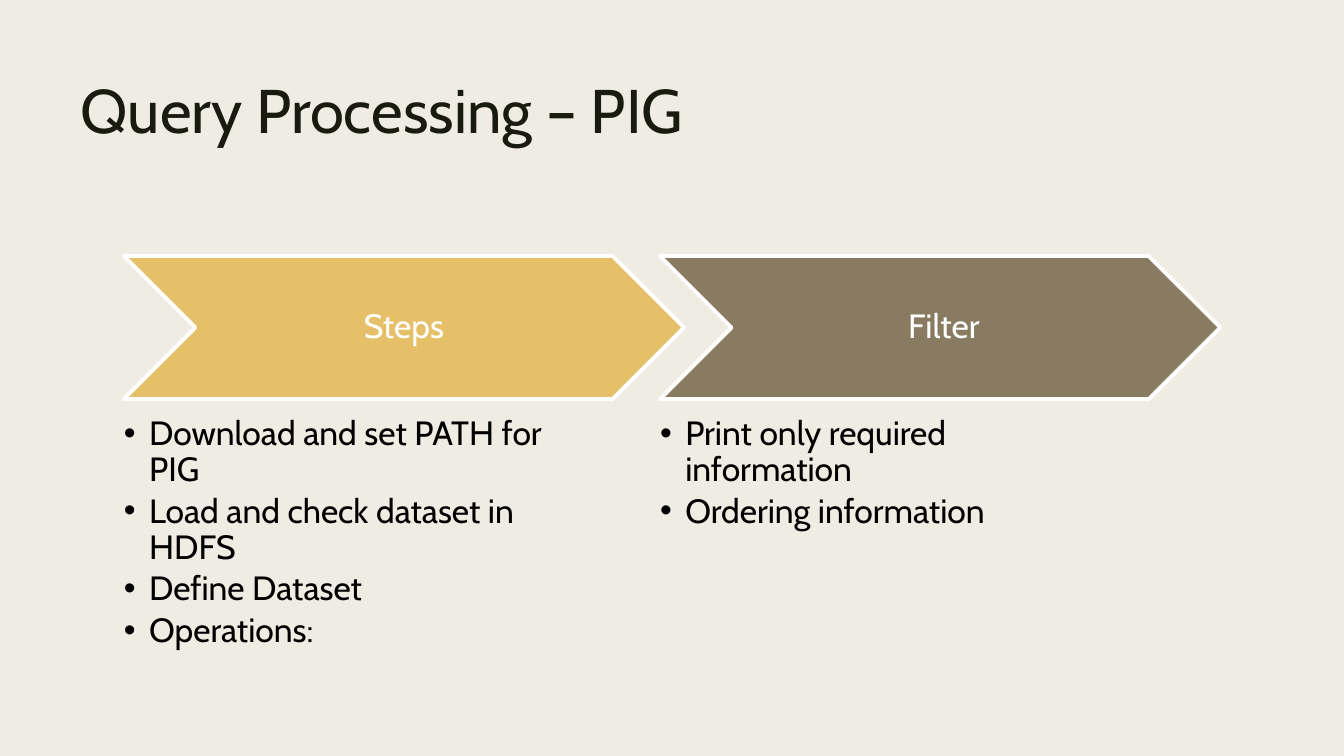
from lxml.etree import SubElement
from pptx import Presentation
from pptx.dml.color import RGBColor
from pptx.enum.shapes import MSO_SHAPE as Shape
from pptx.enum.text import MSO_ANCHOR as Anchor, MSO_AUTO_SIZE as AutoSize, PP_ALIGN as Align
from pptx.oxml.ns import qn
from pptx.util import Pt

CREAM = RGBColor(0xEF, 0xED, 0xE3)
INK = RGBColor(0x19, 0x1B, 0x0E)
GOLD = RGBColor(0xE6, 0xC0, 0x69)
BROWN = RGBColor(0x89, 0x7B, 0x61)
WHITE = RGBColor(0xFF, 0xFF, 0xFF)
BLACK = RGBColor(0, 0, 0)

STAGES = [
    ("Steps ", GOLD, [
        "Download and set PATH for PIG",
        "Load and check dataset in HDFS",
        "Define Dataset",
        "Operations:",
    ]),
    ("Filter", BROWN, ["Print only required information", "Ordering information"]),
]
FIRST_LEFT = 88.5
STAGE_STEP = 383


def add_filled(kind, left, top, width, height, color):
    box = page.shapes.add_shape(kind, Pt(left), Pt(top), Pt(width), Pt(height))
    box.shadow.inherit = False
    box.fill.solid()
    box.fill.fore_color.rgb = color
    return box


def add_span(para, text, size, color, spacing):
    para.line_spacing = spacing
    span = para.add_run()
    span.text = text
    span.font.name = "Cabin"
    span.font.size = Pt(size)
    span.font.color.rgb = color


deck = Presentation()
deck.slide_width = Pt(960)
deck.slide_height = Pt(540)
page = deck.slides.add_slide(deck.slide_layouts.get_by_name("Two Content"))
page.background.fill.solid()
page.background.fill.fore_color.rgb = CREAM

backdrop = add_filled(Shape.RECTANGLE, 0, 0, 960, 540, CREAM)
backdrop.line.fill.background()
page.shapes.title._element.addprevious(backdrop._element)

title = page.shapes.title
title.left, title.top, title.width, title.height = Pt(50.5), Pt(54), Pt(859), Pt(116.6)
title.text_frame.auto_size = AutoSize.NONE
title.text_frame.vertical_anchor = Anchor.TOP
title_para = title.text_frame.paragraphs[0]
title_para.alignment = Align.LEFT
add_span(title_para, "Query Processing – PIG", 44, INK, 0.89)

for index, (name, color, items) in enumerate(STAGES):
    left = FIRST_LEFT + index * STAGE_STEP

    chevron = add_filled(Shape.CHEVRON, left, 182.9, 400.2, 102.2, color)
    chevron.line.color.rgb = WHITE
    chevron.line.width = Pt(2.75)
    SubElement(chevron.line._get_or_add_ln(), qn("a:round"))
    frame = chevron.text_frame
    frame.word_wrap = True
    frame.vertical_anchor = Anchor.MIDDLE
    frame.margin_left = Pt(8)
    frame.margin_top = frame.margin_right = frame.margin_bottom = Pt(2.7)
    para = frame.paragraphs[0]
    para.alignment = Align.CENTER
    add_span(para, name, 24, WHITE, 0.9)

    body = page.placeholders[index + 1]
    body.left, body.top, body.width, body.height = Pt(left), Pt(297.4), Pt(320), Pt(161.3)
    frame = body.text_frame
    frame.auto_size = AutoSize.NONE
    frame.vertical_anchor = Anchor.TOP
    frame.margin_left = frame.margin_top = frame.margin_right = frame.margin_bottom = 0
    for row, item in enumerate(items):
        para = frame.add_paragraph() if row else frame.paragraphs[0]
        para.space_before = Pt(0)
        para.space_after = Pt(3.7)
        properties = para._p.get_or_add_pPr()
        properties.set("marL", str(Pt(18)))
        properties.set("indent", str(Pt(-18)))
        SubElement(properties, qn("a:buChar"), char="•")
        add_span(para, item, 24, BLACK, 0.9)

deck.save("out.pptx")
